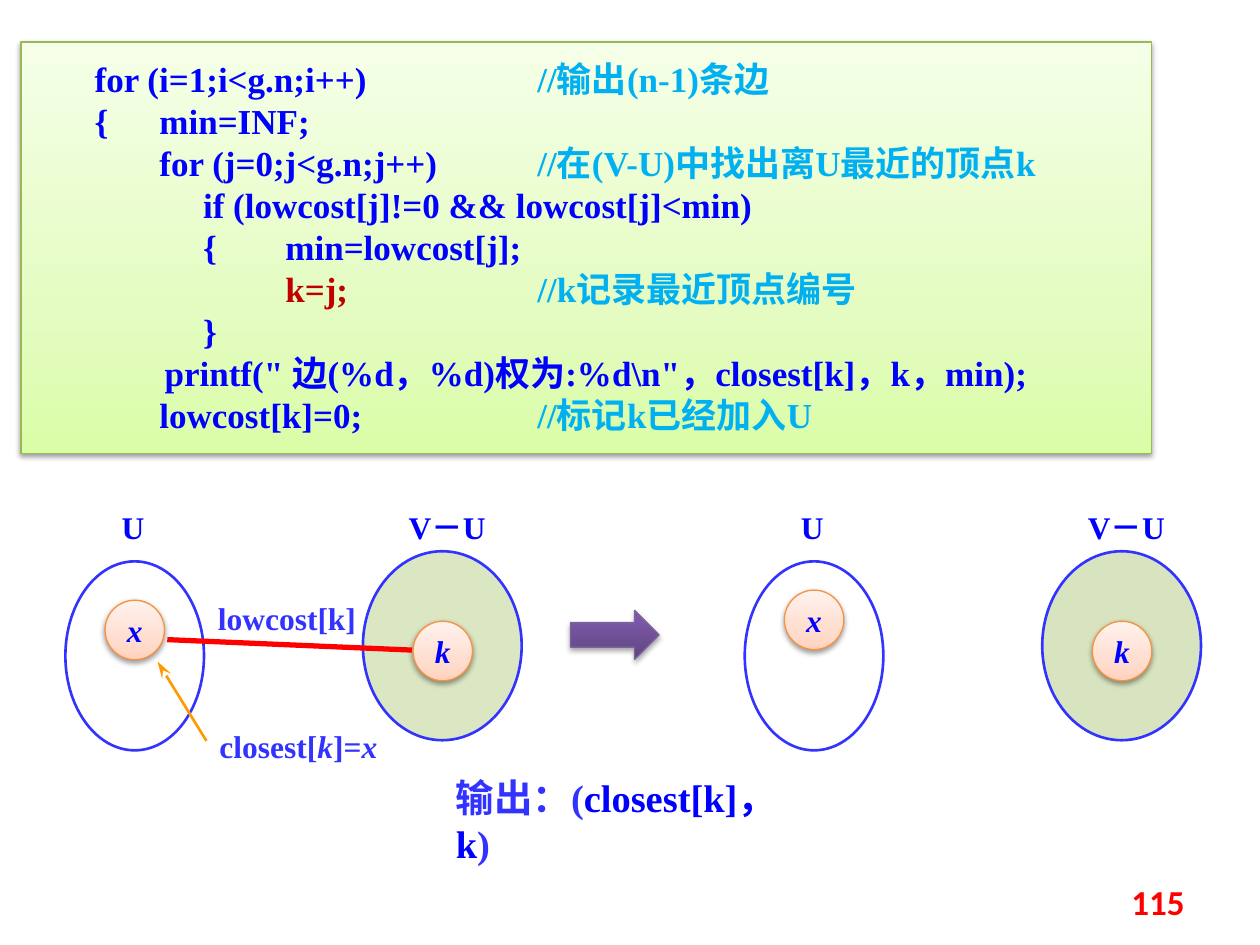
import pptx
import pptx.dml.color
import pptx.enum.shapes
import pptx.enum.text
import pptx.oxml
import pptx.oxml.ns
import pptx.util
from lxml import etree

Pt = pptx.util.Pt
MSO = pptx.enum.shapes.MSO_SHAPE
ALIGN = pptx.enum.text.PP_ALIGN
ANCHOR = pptx.enum.text.MSO_ANCHOR
AUTO = pptx.enum.text.MSO_AUTO_SIZE
qn = pptx.oxml.ns.qn
NS = pptx.oxml.ns.nsdecls("a")


class Theme:
    font, number_font = "Times New Roman", "Calibri"
    label, code, output = 18, 20, 22
    blue, outline, comment = "0000FF", "3333FF", "00B0F0"
    key, edge, pointer, green = "C00000", "FF0000", "FF9900", "C3D69B"
    panel_line, vertex_line, arrow_line = "98B955", "F69240", "7D60A0"
    # Gradient stops run from bottom to top
    panel = ((0, "DAFDA7"), (35, "E4FCC2"), (100, "F5FFE7"))
    vertex = ((0, "FFD2BD"), (35, "FFDED0"), (100, "FFF2ED"))
    arrow = ((0, "5F4480"), (80, "7B58A6"), (100, "7C57A8"))


T = Theme

# Each code line is a list of (text, colour) runs
CODE = [
    [("       for (i=1;i<g.n;i++)\t\t", T.blue), ("//输出(n-1)条边", T.comment)],
    [("       {\tmin=INF;", T.blue)],
    [("\tfor (j=0;j<g.n;j++)\t", T.blue), ("//在(V-U)中找出离U最近的顶点k", T.comment)],
    [("\t     if (lowcost[j]!=0 && lowcost[j]<min)", T.blue)],
    [("\t     {\tmin=lowcost[j];", T.blue)],
    [("\t\tk=j;\t\t", T.key), ("//k记录最近顶点编号", T.comment)],
    [("\t     }", T.blue)],
    [("               printf(\" 边(%d，%d)权为:%d\\n\"，closest[k]，k，min);", T.blue)],
    [("\tlowcost[k]=0;\t\t", T.blue), ("//标记k已经加入U", T.comment)],
]


def rgb(value):
    return pptx.dml.color.RGBColor.from_string(value)


def add_run(p, text, size=T.label, color=T.blue, font=T.font, bold=True, italic=False):
    r = p.add_run()
    r.text = text
    r.font.size, r.font.name = Pt(size), font
    r.font.bold, r.font.italic = bold, italic
    r.font.color.rgb = rgb(color)


def add_label(shapes, x, y, w, h, runs, align=ALIGN.CENTER, anchor=ANCHOR.TOP, **fmt):
    """Text box holding one paragraph; runs are (text, extra format) pairs."""
    tf = shapes.add_textbox(Pt(x), Pt(y), Pt(w), Pt(h)).text_frame
    tf.word_wrap, tf.auto_size, tf.vertical_anchor = True, AUTO.SHAPE_TO_FIT_TEXT, anchor
    p = tf.paragraphs[0]
    p.alignment = align
    for text, extra in runs:
        add_run(p, text, **{**fmt, **extra})


def add_outline(shapes, kind, x, y, w, h, line, width, fill=None, alpha=60):
    sp = shapes.add_shape(kind, Pt(x), Pt(y), Pt(w), Pt(h))
    sp.shadow.inherit = False
    sp.line.color.rgb, sp.line.width = rgb(line), Pt(width)
    if fill:
        sp.fill.solid()
        sp.fill.fore_color.rgb = rgb(fill)
        color = sp._element.spPr.find(".//" + qn("a:srgbClr"))
        etree.SubElement(color, qn("a:alpha")).set("val", str(alpha * 1000))
    else:
        sp.fill.background()
    return sp


def add_glossy(shapes, kind, x, y, w, h, line, stops, drop=1.6, alpha=38):
    """Shape with an upward gradient and a soft shadow below."""
    sp = add_outline(shapes, kind, x, y, w, h, line, 0.75)
    spPr = sp._element.spPr
    gs = "".join(f'<a:gs pos="{pos * 1000}"><a:srgbClr val="{color}"/></a:gs>'
                 for pos, color in stops)
    spPr.replace(spPr.find(qn("a:noFill")), pptx.oxml.parse_xml(
        f'<a:gradFill {NS} rotWithShape="1"><a:gsLst>{gs}</a:gsLst>'
        '<a:lin ang="16200000" scaled="0"/></a:gradFill>'))
    spPr.find(qn("a:effectLst")).append(pptx.oxml.parse_xml(
        f'<a:outerShdw {NS} blurRad="{Pt(3.1)}" dist="{Pt(drop)}" dir="5400000" '
        f'rotWithShape="0"><a:srgbClr val="000000"><a:alpha val="{alpha * 1000}"/>'
        '</a:srgbClr></a:outerShdw>'))
    return sp


def add_vertex(shapes, x, y, name):
    sp = add_glossy(shapes, MSO.OVAL, x, y, 34, 34, T.vertex_line, T.vertex)
    tf = sp.text_frame
    tf.word_wrap, tf.vertical_anchor = False, ANCHOR.MIDDLE
    p = tf.paragraphs[0]
    p.alignment = ALIGN.CENTER
    add_run(p, name, italic=True)


def add_line(shapes, x1, y1, x2, y2, color, width, head=None):
    c = shapes.add_connector(pptx.enum.shapes.MSO_CONNECTOR.STRAIGHT,
                             Pt(x1), Pt(y1), Pt(x2), Pt(y2))
    c.line.color.rgb, c.line.width = rgb(color), Pt(width)
    if head:
        tail = etree.SubElement(c.line._get_or_add_ln(), qn("a:tailEnd"))
        tail.set("type", head)
        tail.set("len", "lg")
    etree.SubElement(c._element.spPr, qn("a:effectLst"))


def add_code(shapes):
    sp = add_glossy(shapes, MSO.RECTANGLE, 12, 24, 646, 235.4, T.panel_line, T.panel)
    tf = sp.text_frame
    tf.word_wrap, tf.auto_size = True, AUTO.SHAPE_TO_FIT_TEXT
    tf.vertical_anchor = ANCHOR.TOP
    tf.margin_top = tf.margin_bottom = Pt(8.6)
    for i, line in enumerate(CODE):
        p = tf.add_paragraph() if i else tf.paragraphs[0]
        p.alignment = ALIGN.LEFT
        p._p.get_or_add_pPr().set("defTabSz", str(Pt(72)))
        for text, color in line:
            add_run(p, text, size=T.code, color=color)


def add_cut(shapes, dx, x_top, alpha):
    """Vertex sets U and V-U, shifted right by dx."""
    add_outline(shapes, MSO.OVAL, dx + 207.4, 315, 90.7, 108, T.outline, 1.5, T.green, alpha)
    add_vertex(shapes, dx + 236, 355, "k")
    add_outline(shapes, MSO.OVAL, dx + 37.4, 320.8, 79.2, 108, T.outline, 1.5)
    add_label(shapes, dx + 56.2, 286.6, 39.6, 29, [("U", {})])
    add_label(shapes, dx + 213, 286.6, 85, 29, [("V－U", {})])
    add_vertex(shapes, dx + 60, x_top, "x")


def main():
    prs = pptx.Presentation()
    prs.slide_width, prs.slide_height = Pt(720), Pt(540)
    s = prs.slides.add_slide(prs.slide_layouts[6])

    # Code panel
    add_code(s.shapes)

    # Before: the sets with the cheapest edge between them
    before = s.shapes.add_group_shape().shapes
    add_cut(before, 0, 343, 60)
    add_label(before, 115.8, 338.7, 96.5, 29, [("lowcost[k]", {})], color=T.outline)
    add_line(before, 118, 423.4, 90, 378, T.pointer, 1.5, "stealth")
    add_label(before, 118.3, 411.8, 118.8, 29,
              [("closest[", {}), ("k", {"italic": True}),
               ("]=", {}), ("x", {"italic": True})],
              align=ALIGN.LEFT, color=T.outline)
    add_line(s.shapes, 95.6, 365.5, 235.4, 371.5, T.edge, 3)

    # Step arrow
    add_glossy(s.shapes, MSO.RIGHT_ARROW, 326, 348.8, 50.6, 28, T.arrow_line, T.arrow,
               drop=1.8, alpha=35)

    # After: the same sets without the edge
    add_cut(s.shapes, 388.2, 337.2, 64)

    # Output and page number
    add_label(s.shapes, 253.4, 438.5, 219.6, 33.8,
              [("输出：(", {"color": T.outline}), ("closest[k]， k", {}),
               (")", {"color": T.outline})],
              align=ALIGN.LEFT, size=T.output)
    add_label(s.shapes, 516, 500.7, 168, 28.8, [("115", {})], align=ALIGN.RIGHT,
              anchor=ANCHOR.MIDDLE, size=T.code, color=T.edge, font=T.number_font)

    prs.save("out.pptx")


if __name__ == "__main__":
    main()
